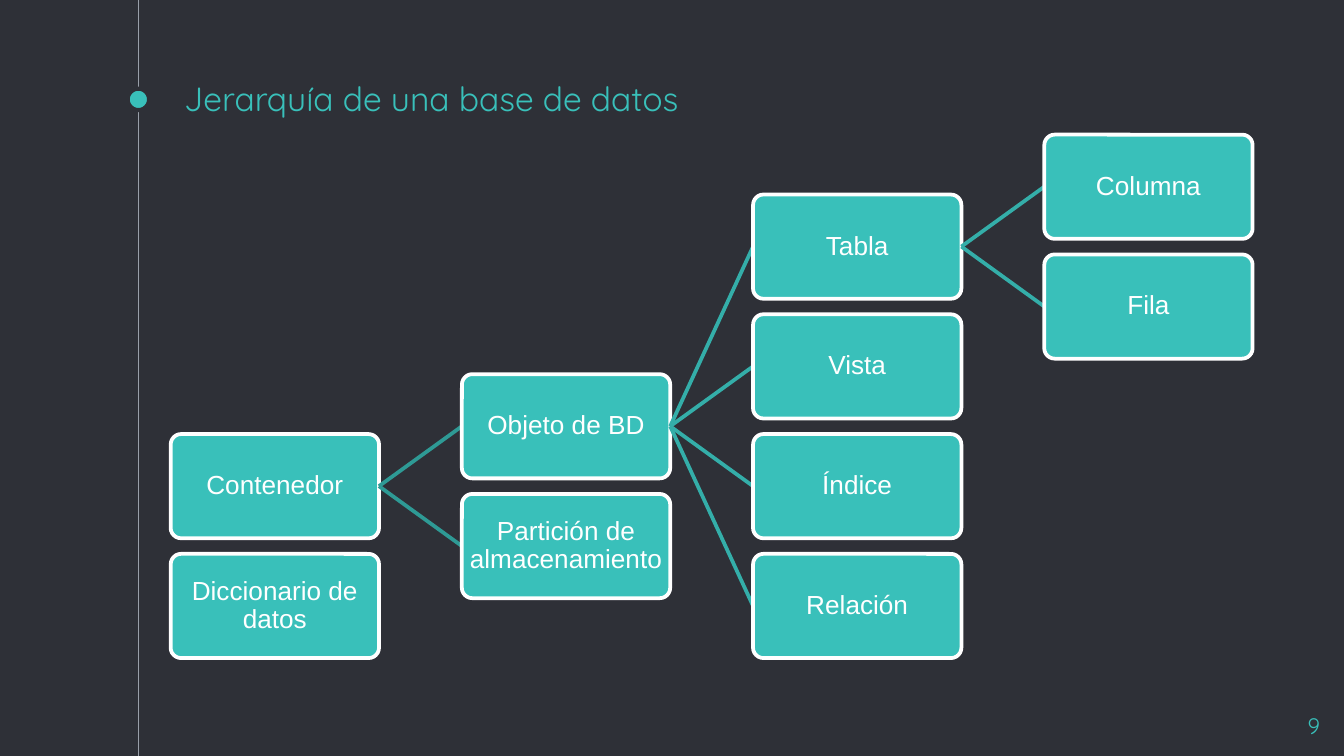
from dataclasses import dataclass

from pptx import Presentation
from pptx import util as u
from pptx.dml.color import RGBColor
from pptx.enum import shapes, text
from pptx.oxml.ns import qn


@dataclass(frozen=True)
class Theme:
    back: str = "2E3037"
    teal: str = "39C0BA"
    white: str = "FFFFFF"
    rail: str = "999FA9"
    links: tuple = ("2E9A95", "34AEA9", "34AEA9")  # by depth of the parent
    head: str = "Quicksand"
    body: str = "Arial"
    big: int = 18
    mid: int = 14
    small: int = 12


T = Theme()
WIDE = 10
HIGH = WIDE * 9 / 16
BOX_W = 1.55
BOX_H = BOX_W / 2
STEP_X = 6.5 / 3  # four columns span three steps
STEP_Y = BOX_H * 1.15

# Each node is (label, children)
TREE = [
    ("Contenedor", [
        ("Objeto de BD", [
            ("Tabla", [("Columna", []), ("Fila", [])]),
            ("Vista", []),
            ("Índice", []),
            ("Relación", []),
        ]),
        ("Partición de almacenamiento", []),
    ]),
    ("Diccionario de datos", []),
]


def color(code):
    return RGBColor.from_string(code)


def write(shape, words, size, font, ink, align="LEFT", anchor="TOP",
          inset=0.1, space=1.0):
    frame = shape.text_frame
    frame.word_wrap = True
    frame.auto_size = text.MSO_AUTO_SIZE.NONE
    frame.vertical_anchor = getattr(text.MSO_ANCHOR, anchor)
    frame.margin_left = frame.margin_right = u.Inches(inset)
    frame.margin_top = frame.margin_bottom = u.Inches(inset)
    para = frame.paragraphs[0]
    para.alignment = getattr(text.PP_ALIGN, align)
    para.line_spacing = space
    run = para.add_run()
    run.text = words
    run.font.size = u.Pt(size)
    run.font.name = font
    run.font.color.rgb = color(ink)


def block(slide, kind, box, fill, edge, width):
    shape = slide.shapes.add_shape(kind, *map(u.Inches, box))
    shape.shadow.inherit = False
    shape.fill.solid()
    shape.fill.fore_color.rgb = color(fill)
    shape.line.color.rgb = color(edge)
    shape.line.width = u.Pt(width)
    return shape


def line(slide, start, end, ink, width):
    link = slide.shapes.add_connector(
        shapes.MSO_CONNECTOR.STRAIGHT, *map(u.Inches, (*start, *end)))
    link.line.color.rgb = color(ink)
    link.line.width = u.Pt(width)
    props = link._element.spPr
    props.append(props.makeelement(qn("a:effectLst"), {}))


def rail(slide, x, height, dot_y, dot=0.16):
    """Vertical rule with a dot beside the title."""
    line(slide, (x, 0), (x, height), T.rail, 0.75)
    box = (x - dot / 2, dot_y - dot / 2, dot, dot)
    block(slide, shapes.MSO_SHAPE.OVAL, box, T.teal, T.back, 2.25)


def title(slide, box, words):
    shape = slide.shapes.title
    shape.left, shape.top, shape.width, shape.height = map(u.Inches, box)
    write(shape, words, T.big, T.head, T.teal, anchor="BOTTOM")


def number(slide, box, words):
    shape = slide.shapes.add_textbox(*map(u.Inches, box))
    write(shape, words, T.small, T.head, T.teal, align="RIGHT")


def node(slide, x, mid, item, depth=0):
    """Draw a box, then its children centred on its middle."""
    label, kids = item
    shape = block(slide, shapes.MSO_SHAPE.ROUNDED_RECTANGLE,
                  (x, mid - BOX_H / 2, BOX_W, BOX_H), T.teal, T.white, 2)
    shape.adjustments[0] = 0.1
    write(shape, label, T.mid, T.body, T.white, align="CENTER",
          anchor="MIDDLE", inset=0.03, space=0.9)
    for i, kid in enumerate(kids):
        kid_x = x + STEP_X
        kid_mid = mid + (i - (len(kids) - 1) / 2) * STEP_Y
        line(slide, (x + BOX_W, mid), (kid_x, kid_mid), T.links[depth], 2)
        node(slide, kid_x, kid_mid, kid, depth + 1)


def tree(slide, x, top, items):
    for i, item in enumerate(items):
        node(slide, x, top + BOX_H / 2 + i * STEP_Y, item)


def main():
    deck = Presentation()
    deck.slide_width, deck.slide_height = u.Inches(WIDE), u.Inches(HIGH)
    slide = deck.slides.add_slide(deck.slide_layouts[5])
    slide.background.fill.solid()
    slide.background.fill.fore_color.rgb = color(T.back)

    rail(slide, 1.03, HIGH, 0.74)
    title(slide, (1.27, 0.6, 7.5, 0.38), "Jerarquía de una base de datos")
    number(slide, (9.32, 5.2, 0.6, 0.34), "9")
    tree(slide, 1.27, 3.23, TREE)
    deck.save("out.pptx")


if __name__ == "__main__":
    main()
